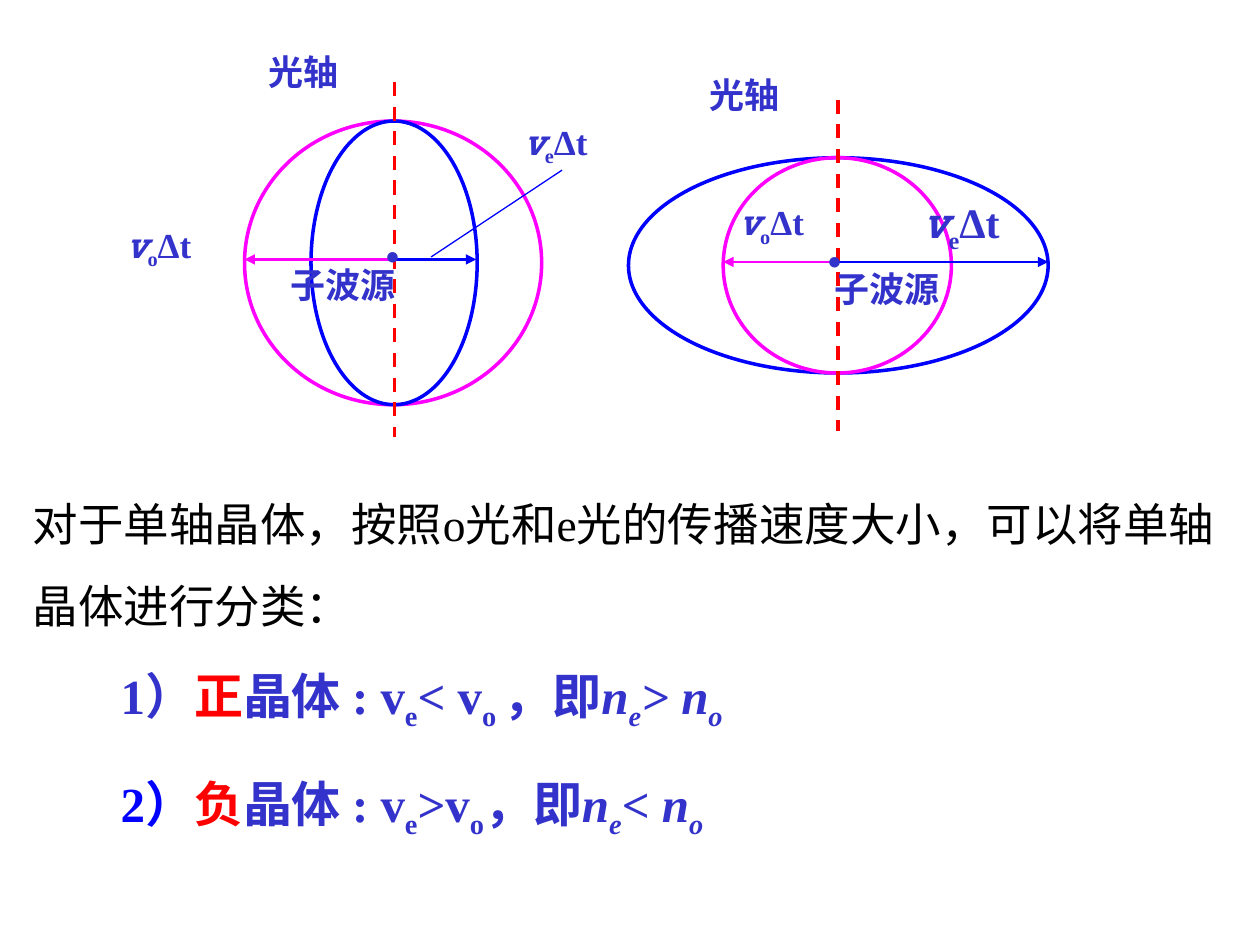
"""Build a slide on wavelets in positive and negative uniaxial crystals."""
from lxml import etree
from pptx import Presentation
from pptx.dml.color import RGBColor
from pptx.enum.dml import MSO_LINE
from pptx.enum.shapes import MSO_CONNECTOR, MSO_SHAPE
from pptx.enum.text import MSO_ANCHOR, MSO_AUTO_SIZE, PP_ALIGN
from pptx.oxml.ns import qn
from pptx.util import Cm, Pt

STRAIGHT = MSO_CONNECTOR.STRAIGHT
OVAL = MSO_SHAPE.OVAL
DASH = MSO_LINE.DASH
TOP = MSO_ANCHOR.TOP
GROW = MSO_AUTO_SIZE.SHAPE_TO_FIT_TEXT
JUSTIFY = PP_ALIGN.JUSTIFY

INDIGO = RGBColor(0x33, 0x33, 0xCC)
BLUE = RGBColor(0x00, 0x00, 0xFF)
MAGENTA = RGBColor(0xFF, 0x00, 0xFF)
RED = RGBColor(0xFF, 0x00, 0x00)
BLACK = RGBColor(0x00, 0x00, 0x00)
SERIF = "Times New Roman"
SLAB = "Roboto Slab"


def add_run(p, text, size=20, color=INDIGO, font=SERIF, bold=True, italic=False, sub=False):
    r = p.add_run()
    r.text = text
    r.font.size = Pt(size)
    r.font.color.rgb = color
    r.font.name = font
    r.font.bold = bold
    r.font.italic = italic
    if sub:
        r.font._element.set("baseline", "-25000")


def add_line(x1, y1, x2, y2, color, width, dash=None, arrow=None):
    c = s.shapes.add_connector(STRAIGHT, Cm(x1), Cm(y1), Cm(x2), Cm(y2))
    c.line.color.rgb = color
    c.line.width = Pt(width)
    if dash:
        c.line.dash_style = dash
    if arrow:
        etree.SubElement(c.line._get_or_add_ln(), qn(arrow), type="triangle")
    etree.SubElement(c._element.spPr, qn("a:effectLst"))


prs = Presentation()
prs.slide_width = Cm(25.4)
prs.slide_height = Cm(19.05)
s = prs.slides.add_slide(prs.slide_layouts[3])
title, *bodies = s.placeholders
title._element.getparent().remove(title._element)

items = [
    (13.28, 14.3, "1）", INDIGO, "正", "< v", "o ", "> n"),
    (15.47, 18.47, "2）", BLUE, "负", ">v", "o", "< n"),
]
for sp, (top, width, number, color, sign, speed, o, index) in zip(bodies, items):
    sp.left, sp.top, sp.width, sp.height = Cm(2.18), Cm(top), Cm(width), Cm(1.45)
    tf = sp.text_frame
    tf.auto_size = GROW
    tf.vertical_anchor = TOP
    p = tf.paragraphs[0]
    pPr = p._p.get_or_add_pPr()
    pPr.set("marL", "0")
    pPr.set("indent", "0")
    etree.SubElement(pPr, qn("a:buNone"))
    p.space_before = Pt(0)
    add_run(p, number, size=28, color=color)
    add_run(p, sign, size=28, color=RED)
    for text, italic, sub in [
        ("晶体 : v", False, False), ("e", False, True), (speed, False, False),
        (o, False, True), ("，即", False, False), ("n", True, False),
        ("e", True, True), (index, True, False), ("o", True, True),
    ]:
        add_run(p, text, size=28, italic=italic, sub=sub)

ellipses = [
    (4.93, 2.44, 5.99, 5.72, MAGENTA),
    (6.27, 2.44, 3.35, 5.72, BLUE),
    (12.67, 3.18, 8.46, 4.34, BLUE),
    (14.58, 3.18, 4.6, 4.34, MAGENTA),
]
for left, top, width, height, color in ellipses:
    sp = s.shapes.add_shape(OVAL, Cm(left), Cm(top), Cm(width), Cm(height))
    sp.shadow.inherit = False
    sp.fill.background()
    sp.line.color.rgb = color
    sp.line.width = Pt(2)

rays = [
    (7.95, 1.65, 8.81, 5.23, 9.6, 4.93),
    (16.89, 2.01, 8.69, 5.28, 21.13, 14.58),
]
for axis, top, bottom, y, e_end, o_end in rays:
    add_line(axis, top, axis, bottom, RED, 2, dash=DASH)
    add_line(axis, y, e_end, y, BLUE, 1.5, arrow="a:tailEnd")
    add_line(o_end, y, axis, y, MAGENTA, 1.5, arrow="a:headEnd")
add_line(8.69, 5.18, 11.33, 3.43, BLUE, 0.75)

labels = [
    (5.82, 5.28, 3.02, 1.14, "子波源", 20),
    (16.79, 5.36, 3.02, 1.14, "子波源", 20),
    (5.38, 0.99, 3.51, 1.02, "光轴", 20),
    (14.27, 1.45, 2.54, 1.02, "光轴", 20),
    (7.75, 4.65, 1.4, 1.09, "•", 22),
    (16.66, 4.75, 1.47, 1.09, "•", 22),
    (2.51, 4.47, 2.39, 1.09, "o", 20),
    (10.52, 2.39, 2.29, 1.37, "e", 20),
    (14.86, 4.01, 2.36, 1.27, "o", 20),
    (18.57, 3.94, 2.31, 1.35, "e", 24),
]
for left, top, width, height, text, size in labels:
    tf = s.shapes.add_textbox(Cm(left), Cm(top), Cm(width), Cm(height)).text_frame
    tf.word_wrap = True
    tf.margin_left = tf.margin_right = tf.margin_top = tf.margin_bottom = Cm(0.03)
    p = tf.paragraphs[0]
    p.alignment = JUSTIFY
    if text in ("o", "e"):
        add_run(p, "v", size=size, font=SLAB, italic=True)
        add_run(p, text, size=size, sub=True)
        add_run(p, "Δt", size=size)
    else:
        add_run(p, text, size=size)

tf = s.shapes.add_textbox(Cm(0.41), Cm(9.32), Cm(24.61), Cm(3.38)).text_frame
tf.word_wrap = True
tf.auto_size = GROW
p = tf.paragraphs[0]
p.line_spacing = 1.5
add_run(p, "对于单轴晶体，按照o光和e光的传播速度大小，可以将单轴晶体进行分类：",
        size=26, color=BLACK, bold=False)

prs.save("out.pptx")
